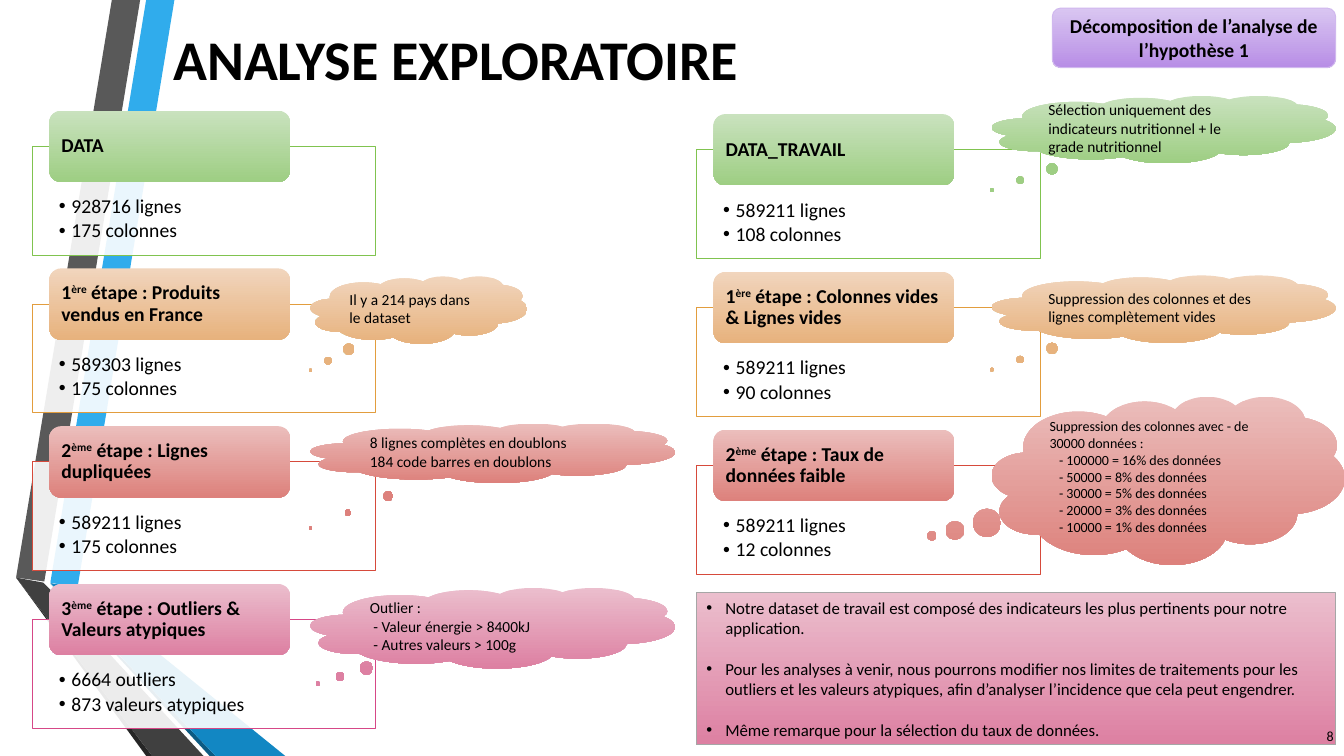
import pptx
import pptx.util
import pptx.dml.color
import pptx.enum.shapes
import pptx.enum.text
import pptx.oxml
import pptx.oxml.ns

Pt = pptx.util.Pt
SHAPE = pptx.enum.shapes.MSO_SHAPE
ALIGN = pptx.enum.text.PP_ALIGN
ANCHOR = pptx.enum.text.MSO_ANCHOR
FONT = "Calibri"

COLORS = {
    "text": "000000", "panel": "FFFFFF", "grey_line": "A6A6A6", "violet_line": "D0B8EE",
    "blue": "30ACEC", "mid_blue": "1287C3", "navy": "0C5A82",
    "grey": "595959", "charcoal": "404040", "dark": "262626",
    "green": "80C34F", "orange": "E29D3E", "red": "D64A3B", "pink": "D64787",
}
GRADIENTS = {
    "green": ("C9E2BE", "9ECE83"), "orange": ("F1D5BD", "E7B27D"),
    "red": ("EBBEBC", "DD817C"), "pink": ("EBBECD", "DD80A2"),
    "violet": ("D9C6F1", "B88EE6"),
}
RIBBONS = [
    ("blue", [(36, 416.2), (55.4, 419.8), (124.6, 0), (104.4, 0)]),
    ("grey", [(100.1, 0), (79.9, 0), (11.5, 412.6), (31.7, 415.4)]),
    ("dark", [(11.5, 412.6), (104.4, 540), (108.7, 540)]),
    ("navy", [(36, 416.9), (149.8, 540), (154.1, 540)]),
    ("mid_blue", [(36, 416.5), (154.1, 540), (203.8, 540), (55.4, 419.8)]),
    ("charcoal", [(145.4, 540), (34.6, 419.8), (31, 416.2), (11.5, 412.6), (108.7, 540)]),
]
STEP_COLUMNS = [
    (23, 104.5, [
        ("green", ("", "", "DATA"), ["928716 lignes", "175 colonnes"]),
        ("orange", ("1", "ère", " étape : Produits vendus en France"),
         ["589303 lignes", "175 colonnes"]),
        ("red", ("2", "ème", " étape : Lignes dupliquées"),
         ["589211 lignes", "175 colonnes"]),
        ("pink", ("3", "ème", " étape : Outliers & Valeurs atypiques"),
         ["6664 outliers", "873 valeurs atypiques"]),
    ]),
    (497.5, 107, [
        ("green", ("", "", "DATA_TRAVAIL"), ["589211 lignes", "108 colonnes"]),
        ("orange", ("1", "ère", " étape : Colonnes vides & Lignes vides"),
         ["589211 lignes", "90 colonnes"]),
        ("red", ("2", "ème", " étape : Taux de données faible"),
         ["589211 lignes", "12 colonnes"]),
    ]),
]
STEP_PITCH = 112.7
CLOUDS = [
    ("orange", (221.8, 197.3, 154.8, 48.2), (-0.5, 0.9), 11, 0,
     ["Il y a 214 pays dans le dataset"]),
    ("red", (221.8, 302.4, 260.6, 42.5), (-0.5, 1.26), 11, 0,
     ["8 lignes complètes en doublons", "184 code barres en doublons"]),
    ("pink", (221.8, 419.8, 260.6, 57.6), (-0.48, 0.69), 11, 2.5,
     ["Outlier :", "- Valeur énergie > 8400kJ", "- Autres valeurs > 100g"]),
    ("green", (708.5, 68.4, 245.5, 48.2), (-0.5, 0.9), 11, 0,
     ["Sélection uniquement des indicateurs nutritionnel + le grade nutritionnel"]),
    ("orange", (708.5, 196.6, 245.5, 48.2), (-0.5, 0.9), 11, 0,
     ["Suppression des colonnes et des lignes complètement vides"]),
    ("red", (708.5, 283, 252, 120.2), (-0.67, 0.33), 10, 6.8,
     ["Suppression des colonnes avec - de 30000 données :",
      "- 100000 = 16% des données", "- 50000 = 8% des données",
      "- 30000 = 5% des données", "- 20000 = 3% des données",
      "- 10000 = 1% des données"]),
]
SUMMARY = [
    "Notre dataset de travail est composé des indicateurs les plus pertinents pour notre application.",
    "Pour les analyses à venir, nous pourrons modifier nos limites de traitements pour les outliers et les valeurs atypiques, afin d’analyser l’incidence que cela peut engendrer.",
    "Même remarque pour la sélection du taux de données.",
]


def rgb(name):
    return pptx.dml.color.RGBColor.from_string(COLORS.get(name, name))


def fill_gradient(sp, name):
    sp.fill.gradient()
    sp.fill.gradient_angle = 270
    for stop, color in zip(sp.fill.gradient_stops, GRADIENTS[name]):
        stop.color.rgb = rgb(color)


def set_line(sp, color=None):
    if color:
        sp.line.color.rgb = rgb(color)
        sp.line.width = Pt(0.75)
    else:
        sp.line.fill.background()


def add_box(s, kind, box, gradient=None, line=None):
    sp = s.shapes.add_shape(kind, *map(Pt, box))
    sp.shadow.inherit = False
    if gradient:
        fill_gradient(sp, gradient)
    set_line(sp, line)
    return sp


def style_run(r, size, bold=False):
    r.font.name = FONT
    r.font.size = Pt(size)
    r.font.bold = bold
    r.font.color.rgb = rgb("text")


def set_frame(tf, anchor, margins=(7.2, 3.6, 7.2, 3.6)):
    tf.word_wrap = True
    tf.vertical_anchor = anchor
    tf.margin_left, tf.margin_top, tf.margin_right, tf.margin_bottom = map(Pt, margins)


def write(tf, lines, size, bold=False, align=ALIGN.LEFT):
    tf.text = "\n".join(lines)
    for p in tf.paragraphs:
        p.alignment = align
        for r in p.runs:
            style_run(r, size, bold)


def add_bullet(p, indent):
    pPr = p._p.get_or_add_pPr()
    pPr.set("marL", str(Pt(indent)))
    pPr.set("indent", str(-Pt(indent)))
    for tag, attr, value in (("buFont", "typeface", "Arial"), ("buChar", "char", "•")):
        pPr.append(pPr.makeelement(pptx.oxml.ns.qn("a:" + tag), {attr: value}))


def add_ribbon(s, color, points):
    pts = [(Pt(x), Pt(y)) for x, y in points]
    builder = s.shapes.build_freeform(*pts[0])
    builder.add_line_segments(pts[1:], close=True)
    sp = builder.convert_to_shape()
    sp.shadow.inherit = False
    sp.fill.solid()
    sp.fill.fore_color.rgb = rgb(color)
    set_line(sp)


def add_step(s, left, top, color, heading, facts):
    panel = add_box(s, SHAPE.RECTANGLE, (left, top, 245.5, 77.8), line=color)
    panel.fill.solid()
    panel.fill.fore_color.rgb = rgb("panel")
    clr = panel.fill._xPr.find(".//" + pptx.oxml.ns.qn("a:srgbClr"))
    clr.append(clr.makeelement(pptx.oxml.ns.qn("a:alpha"), {"val": "90000"}))
    set_frame(panel.text_frame, ANCHOR.TOP, (19, 36, 19, 8))
    write(panel.text_frame, facts, 14)
    for p in panel.text_frame.paragraphs:
        p.line_spacing = 0.9
        p.space_after = Pt(2.1)
        add_bullet(p, 9)

    header = add_box(s, SHAPE.ROUNDED_RECTANGLE, (left + 12.2, top - 25.5, 172, 51), color)
    header.adjustments[0] = 0.1667
    set_frame(header.text_frame, ANCHOR.MIDDLE, (6.2, 0, 6.2, 0))
    p = header.text_frame.paragraphs[0]
    p.alignment = ALIGN.LEFT
    p.line_spacing = 0.9
    number, ordinal, label = heading
    for text in filter(None, heading):
        r = p.add_run()
        r.text = text
        style_run(r, 14, True)
        if text == ordinal:
            r._r.get_or_add_rPr().set("baseline", "30000")


def add_cloud(s, color, box, tail, size, indent, lines):
    sp = add_box(s, SHAPE.CLOUD_CALLOUT, box, color)
    sp.adjustments[0], sp.adjustments[1] = tail
    set_frame(sp.text_frame, ANCHOR.MIDDLE, (6.5, 0, 6.5, 0))
    write(sp.text_frame, lines, size)
    for p in sp.text_frame.paragraphs:
        if p.text.startswith("-"):
            p._p.get_or_add_pPr().set("marL", str(Pt(indent)))


def add_summary(s):
    sp = add_box(s, SHAPE.RECTANGLE, (497.5, 423.4, 456.5, 108.7), "pink", "grey_line")
    set_frame(sp.text_frame, ANCHOR.TOP)
    write(sp.text_frame, SUMMARY, 12)
    for p in sp.text_frame.paragraphs:
        p.space_after = Pt(14.6)
        add_bullet(p, 13.5)
    p.space_after = Pt(0)


def add_badge(s):
    sp = add_box(s, SHAPE.ROUNDED_RECTANGLE, (751.7, 5.8, 202.3, 42.5), "violet", "violet_line")
    sp.adjustments[0] = 0.14
    set_frame(sp.text_frame, ANCHOR.MIDDLE)
    write(sp.text_frame, ["Décomposition de l’analyse de l’hypothèse 1"], 14, True, ALIGN.CENTER)


def add_page_number(s):
    tf = s.shapes.add_textbox(Pt(916.6), Pt(511.2), Pt(43.2), Pt(28.8)).text_frame
    set_frame(tf, ANCHOR.MIDDLE)
    write(tf, ["8"], 10, align=ALIGN.RIGHT)


def set_title(s):
    title = s.shapes.title
    title.left, title.top, title.width, title.height = map(Pt, (116.6, 0, 789, 83.5))
    title.text_frame.auto_size = pptx.enum.text.MSO_AUTO_SIZE.NONE
    set_frame(title.text_frame, ANCHOR.MIDDLE)
    write(title.text_frame, ["ANALYSE EXPLORATOIRE"], 40, True)


def main():
    prs = pptx.Presentation()
    prs.slide_width, prs.slide_height = Pt(960), Pt(540)
    s = prs.slides.add_slide(prs.slide_layouts[5])
    set_title(s)
    for color, points in RIBBONS:
        add_ribbon(s, color, points)
    for left, top, steps in STEP_COLUMNS:
        for i, step in enumerate(steps):
            add_step(s, left, top + i * STEP_PITCH, *step)
    for cloud in CLOUDS:
        add_cloud(s, *cloud)
    add_summary(s)
    add_badge(s)
    add_page_number(s)
    prs.save("out.pptx")


if __name__ == "__main__":
    main()
